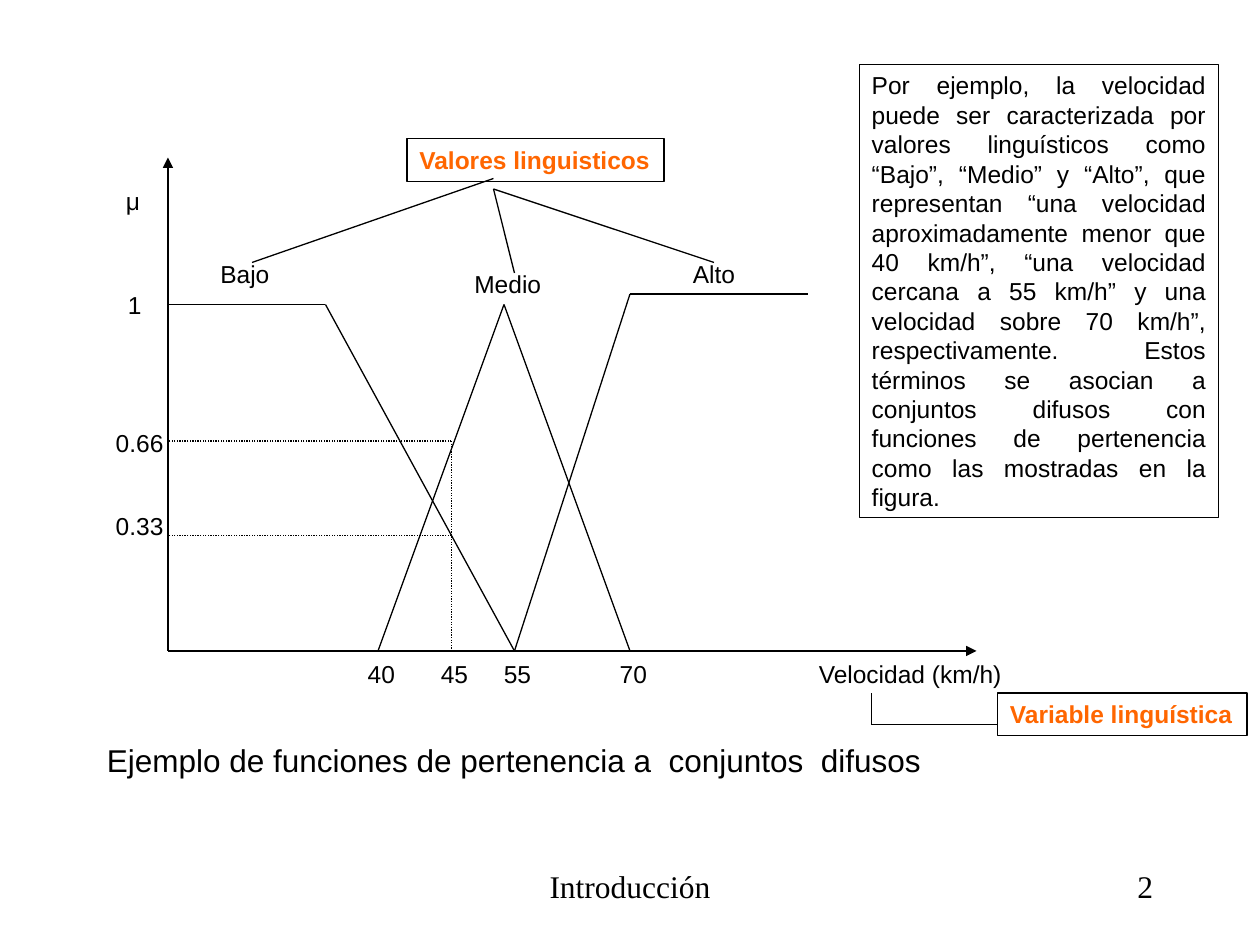
"""Build a slide showing membership functions of fuzzy sets for speed."""
from itertools import pairwise

from lxml.etree import SubElement
from pptx import Presentation
from pptx.dml.color import RGBColor
from pptx.enum.dml import MSO_LINE
from pptx.enum.shapes import MSO_CONNECTOR, MSO_SHAPE
from pptx.enum.text import MSO_ANCHOR, MSO_AUTO_SIZE as AutoSize, PP_ALIGN as Align
from pptx.oxml.ns import qn
from pptx.util import Inches, Pt

BLACK = RGBColor(0x00, 0x00, 0x00)
ORANGE = RGBColor(0xFF, 0x66, 0x00)
WIDTH, HEIGHT = Inches(10), Inches(7.5)
COLUMNS, ROWS = 120, 90

ORIGIN_X, AXIS_Y = 16, 62
TICK_TOP = 62.16
LABEL_HEIGHT = 3.96
TITLE_HEIGHT = 4.08

EXPLANATION = (
    "Por ejemplo, la velocidad puede ser caracterizada por valores linguísticos "
    "como “Bajo”, “Medio” y “Alto”, que representan “una velocidad aproximadamente "
    "menor que 40 km/h”, “una velocidad cercana a 55 km/h” y una velocidad sobre "
    "70 km/h”, respectivamente. Estos términos se asocian a conjuntos difusos con "
    "funciones de pertenencia como las mostradas en la figura."
)
CAPTION = "Ejemplo de funciones de pertenencia a  conjuntos  difusos"

AXES = [
    [(ORIGIN_X, AXIS_Y), (ORIGIN_X, 15)],
    [(ORIGIN_X, AXIS_Y), (93, AXIS_Y)],
]
MEMBERSHIP_FUNCTIONS = [
    [(ORIGIN_X, 29), (31, 29), (49, AXIS_Y)],
    [(36, AXIS_Y), (48, 29), (60, AXIS_Y)],
    [(49, AXIS_Y), (60, 28), (77, 28)],
]
READINGS = [
    [(43, 42), (43, AXIS_Y)],
    [(43, 42), (ORIGIN_X, 42)],
    [(43, 51), (ORIGIN_X, 51)],
]
POINTERS = [
    [(83, 66), (83, 69), (95, 69)],
    [(47, 17), (24, 25)],
    [(47, 18), (49, 26)],
    [(47, 18), (68, 25)],
]
LABELS = [
    ("Bajo", 19.8, 24.12, 7.08),
    ("Medio", 44, 25, 8.76),
    ("Alto", 64.8, 24.12, 6.48),
    ("40", 33.84, TICK_TOP, 5.04),
    ("45", 40.8, TICK_TOP, 5.04),
    ("55", 46.8, TICK_TOP, 5.04),
    ("70", 57.84, TICK_TOP, 5.04),
    ("Velocidad (km/h)", 76.8, TICK_TOP, 19.92),
    ("μ", 10.8, 17.16, 3.72),
    ("1", 11, 27, 3.72),
    ("0.66", 9.84, 40.2, 6.96),
    ("0.33", 9.84, 48.12, 6.96),
]
BOXED_TITLES = [
    ("Variable linguística", 95, 66, 23.76),
    ("Valores linguisticos", 38.76, 13.2, 24.48),
]
FOOTERS = [
    ("Introducción", (41, 82, 38, 6), Align.CENTER),
    ("2", (86, 82, 25, 6), Align.RIGHT),
]


def across(column):
    return round(WIDTH * column / COLUMNS)


def down(row):
    return round(HEIGHT * row / ROWS)


def add_text(slide, text, area, *, size=14, font="Arial", color=BLACK, bold=False,
             align=Align.LEFT, wrap=False, framed=False, grow=True):
    left, top, width, height = area
    place = across(left), down(top), across(width), down(height)
    if framed:
        box = slide.shapes.add_shape(MSO_SHAPE.RECTANGLE, *place)
        box.shadow.inherit = False
        box.fill.background()
        box.line.color.rgb = BLACK
        box.line.width = Pt(0.75)
    else:
        box = slide.shapes.add_textbox(*place)
    frame = box.text_frame
    frame.word_wrap = wrap
    frame.auto_size = AutoSize.SHAPE_TO_FIT_TEXT if grow else AutoSize.NONE
    frame.vertical_anchor = MSO_ANCHOR.TOP
    paragraph = frame.paragraphs[0]
    paragraph.alignment = align
    run = paragraph.add_run()
    run.text = text
    run.font.size = Pt(size)
    run.font.name = font
    run.font.bold = bold
    run.font.color.rgb = color


def add_path(slide, points, dash=None, arrow=False):
    for (x1, y1), (x2, y2) in pairwise(points):
        segment = slide.shapes.add_connector(
            MSO_CONNECTOR.STRAIGHT, across(x1), down(y1), across(x2), down(y2))
        segment.line.color.rgb = BLACK
        segment.line.width = Pt(0.75)
        if dash:
            segment.line.dash_style = dash
        if arrow:
            SubElement(segment.line._get_or_add_ln(), qn("a:tailEnd"), type="triangle")
        SubElement(segment._element.spPr, qn("a:effectLst"))


def main():
    deck = Presentation()
    deck.slide_width, deck.slide_height = WIDTH, HEIGHT
    slide = deck.slides.add_slide(deck.slide_layouts[6])

    for text, area, align in FOOTERS:
        add_text(slide, text, area, size=18, font="Times New Roman",
                 align=align, wrap=True, grow=False)
    add_text(slide, CAPTION, (9, 70, 98.16, 4.8), size=18, wrap=True)
    for axis in AXES:
        add_path(slide, axis, arrow=True)
    for function in MEMBERSHIP_FUNCTIONS:
        add_path(slide, function)
    for reading in READINGS:
        add_path(slide, reading, dash=MSO_LINE.ROUND_DOT)
    for text, left, top, width in LABELS:
        add_text(slide, text, (left, top, width, LABEL_HEIGHT))
    add_text(slide, EXPLANATION, (81.84, 6.12, 34.2, 43.2),
             align=Align.JUSTIFY, wrap=True, framed=True)
    for text, left, top, width in BOXED_TITLES:
        add_text(slide, text, (left, top, width, TITLE_HEIGHT),
                 color=ORANGE, bold=True, framed=True)
    for pointer in POINTERS:
        add_path(slide, pointer)

    deck.save("out.pptx")


if __name__ == "__main__":
    main()
